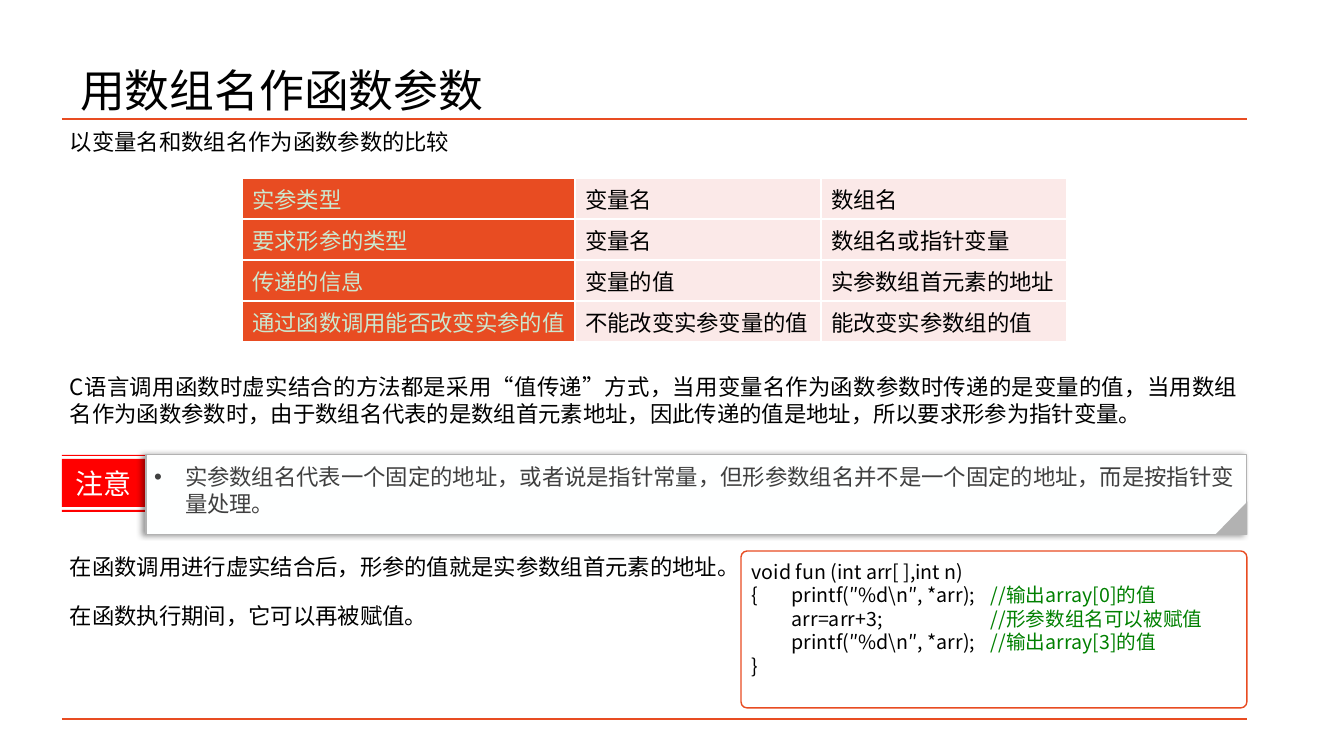
from lxml import etree
from pptx import Presentation
from pptx.dml.color import RGBColor
from pptx.enum.shapes import MSO_CONNECTOR, MSO_SHAPE as SHAPE
from pptx.enum.text import MSO_ANCHOR as ANCHOR, PP_ALIGN as ALIGN
from pptx.oxml.ns import qn
from pptx.util import Emu, Pt

PX = 914400 / 100.8
FONT = "Noto Sans CJK SC"
COLORS = {
    "page": "FFFFFF", "black": "000000", "orange": "E84C22", "pink": "FBE9E8",
    "pale": "CCE8CF", "red": "FF0000", "white": "FEFFFF", "grey": "B2B2B2",
    "dark": "404040", "green": "008000",
}
LEFT, RIGHT = 62, 1247
COMPARISON = [
    ("实参类型", "变量名", "数组名"),
    ("要求形参的类型", "变量名", "数组名或指针变量"),
    ("传递的信息", "变量的值", "实参数组首元素的地址"),
    ("通过函数调用能否改变实参的值", "不能改变实参变量的值", "能改变实参数组的值"),
]
COLUMN_WIDTHS = (333, 246, 246)
BODY = [
    (128, "以变量名和数组名作为函数参数的比较"),
    (373, "C语言调用函数时虚实结合的方法都是采用“值传递”方式，当用变量名作为函数参数时"
          "传递的是变量的值，当用数组名作为函数参数时，由于数组名代表的是数组首元素地址，"
          "因此传递的值是地址，所以要求形参为指针变量。"),
    (553, "在函数调用进行虚实结合后，形参的值就是实参数组首元素的地址。"),
    (602, "在函数执行期间，它可以再被赋值。"),
]
NOTE = ("实参数组名代表一个固定的地址，或者说是指针常量，"
        "但形参数组名并不是一个固定的地址，而是按指针变量处理。")
CODE = [
    ("void fun (int arr[ ],int n)", ""),
    ("{\tprintf(″%d\\n″, *arr);\t", "//输出array[0]的值"),
    ("\tarr=arr+3;\t", "//形参数组名可以被赋值"),
    ("\tprintf(″%d\\n″, *arr);\t", "//输出array[3]的值"),
    ("}", ""),
]
CODE_TABS = (40, 239)


def px(length):
    return Emu(round(length * PX))


def box(*lengths):
    return [px(length) for length in lengths]


def rgb(name):
    return RGBColor.from_string(COLORS[name])


def add_run(paragraph, text, size, color):
    run = paragraph.add_run()
    run.text = text
    run.font.size = Pt(size)
    run.font.name = FONT
    run.font.color.rgb = rgb(color)
    etree.SubElement(run._r.get_or_add_rPr(), qn("a:ea"), typeface=FONT)


def set_frame(shape, insets, anchor=ANCHOR.TOP):
    """Wrap the text; insets are left, top, right, bottom. Return the first paragraph."""
    frame = shape.text_frame
    frame.word_wrap = True
    frame.vertical_anchor = anchor
    (frame.margin_left, frame.margin_top,
     frame.margin_right, frame.margin_bottom) = box(*insets)
    return frame.paragraphs[0]


def style_shape(shape, fill, line=None, width=1):
    shape.shadow.inherit = False
    shape.fill.solid()
    shape.fill.fore_color.rgb = rgb(fill)
    if line:
        shape.line.color.rgb = rgb(line)
        shape.line.width = Pt(width)
    else:
        shape.line.fill.background()


def add_text(slide, area, text, size, insets, anchor=ANCHOR.TOP, align=ALIGN.LEFT):
    paragraph = set_frame(slide.shapes.add_textbox(*box(*area)), insets, anchor)
    paragraph.alignment = align
    add_run(paragraph, text, size, "black")


def add_rule(slide, y):
    rule = slide.shapes.add_connector(MSO_CONNECTOR.STRAIGHT, *box(LEFT, y, RIGHT, y))
    rule.line.color.rgb = rgb("orange")
    rule.line.width = Pt(2)
    etree.SubElement(rule._element.spPr, qn("a:effectLst"))


def add_comparison(slide):
    area = box(242, 178, sum(COLUMN_WIDTHS), 41 * len(COMPARISON))
    table = slide.shapes.add_table(len(COMPARISON), len(COLUMN_WIDTHS), *area).table
    table.first_row = table.horz_banding = False
    for column, width in zip(table.columns, COLUMN_WIDTHS):
        column.width = px(width)
    for r, texts in enumerate(COMPARISON):
        for c, text in enumerate(texts):
            cell = table.cell(r, c)
            cell.fill.solid()
            cell.fill.fore_color.rgb = rgb("pink" if c else "orange")
            add_run(cell.text_frame.paragraphs[0], text, 16, "black" if c else "pale")


def add_attention_label(slide):
    """A red label with a thin bar above and below, as one outline."""
    right = 145
    builder = slide.shapes.build_freeform(LEFT, 455, scale=PX)
    for top, bottom in ((455, 456), (459, 507), (510, 512)):
        builder.move_to(LEFT, top)
        builder.add_line_segments([(right, top), (right, bottom), (LEFT, bottom)])
    label = builder.convert_to_shape()
    style_shape(label, "red")
    paragraph = set_frame(label, (0, 0, 0, 0), ANCHOR.MIDDLE)
    paragraph.alignment = ALIGN.CENTER
    add_run(paragraph, "注意", 20, "white")


def add_left_shadow(shape):
    effects = shape._element.spPr.find(qn("a:effectLst"))
    shadow = etree.SubElement(effects, qn("a:outerShdw"), blurRad=str(Pt(4)),
                              dist=str(Pt(3)), dir="10800000", rotWithShape="0")
    color = etree.SubElement(shadow, qn("a:srgbClr"), val=COLORS["black"])
    etree.SubElement(color, qn("a:alpha"), val="40000")


def add_note(slide):
    note = slide.shapes.add_shape(SHAPE.RECTANGLE, *box(146, 455, 1101, 80))
    style_shape(note, "white", "grey", 0.75)
    add_left_shadow(note)
    paragraph = set_frame(note, (8, 8, 8, 8))
    paragraph.alignment = ALIGN.LEFT
    properties = paragraph._p.get_or_add_pPr()
    properties.set("marL", str(px(31)))
    properties.set("indent", str(-px(31)))
    etree.SubElement(properties, qn("a:buFont"), typeface="Arial")
    etree.SubElement(properties, qn("a:buChar"), char="•")
    add_run(paragraph, NOTE, 16, "dark")
    corner = slide.shapes.add_shape(SHAPE.RIGHT_TRIANGLE, *box(1215, 502, 33, 32))
    style_shape(corner, "grey")
    corner.rotation = 270


def add_code(slide):
    panel = slide.shapes.add_shape(SHAPE.ROUNDED_RECTANGLE, *box(741, 551, 506, 157))
    panel.adjustments[0] = 0.04
    style_shape(panel, "page", "orange")
    paragraph = set_frame(panel, (9, 7, 9, 5))
    for i, (statement, comment) in enumerate(CODE):
        if i:
            paragraph = panel.text_frame.add_paragraph()
        paragraph.alignment = ALIGN.LEFT
        tabs = etree.SubElement(paragraph._p.get_or_add_pPr(), qn("a:tabLst"))
        for stop in CODE_TABS:
            etree.SubElement(tabs, qn("a:tab"), pos=str(px(stop)), algn="l")
        add_run(paragraph, statement, 14, "black")
        if comment:
            add_run(paragraph, comment, 14, "green")


def main():
    deck = Presentation()
    deck.slide_width, deck.slide_height = box(1344, 756)
    slide = deck.slides.add_slide(deck.slide_layouts[6])
    slide.background.fill.solid()
    slide.background.fill.fore_color.rgb = rgb("page")
    add_text(slide, (70, 37, 1159, 105), "用数组名作函数参数", 32,
             (10, 5, 10, 5), ANCHOR.MIDDLE)
    for y in (119, 719):
        add_rule(slide, y)
    for top, text in BODY:
        add_text(slide, (LEFT, top, RIGHT - LEFT, 66 if top == 373 else 33),
                 text, 16, (8, 0, 8, 0), align=ALIGN.JUSTIFY)
    add_comparison(slide)
    add_attention_label(slide)
    add_note(slide)
    add_code(slide)
    deck.save("out.pptx")


if __name__ == "__main__":
    main()
